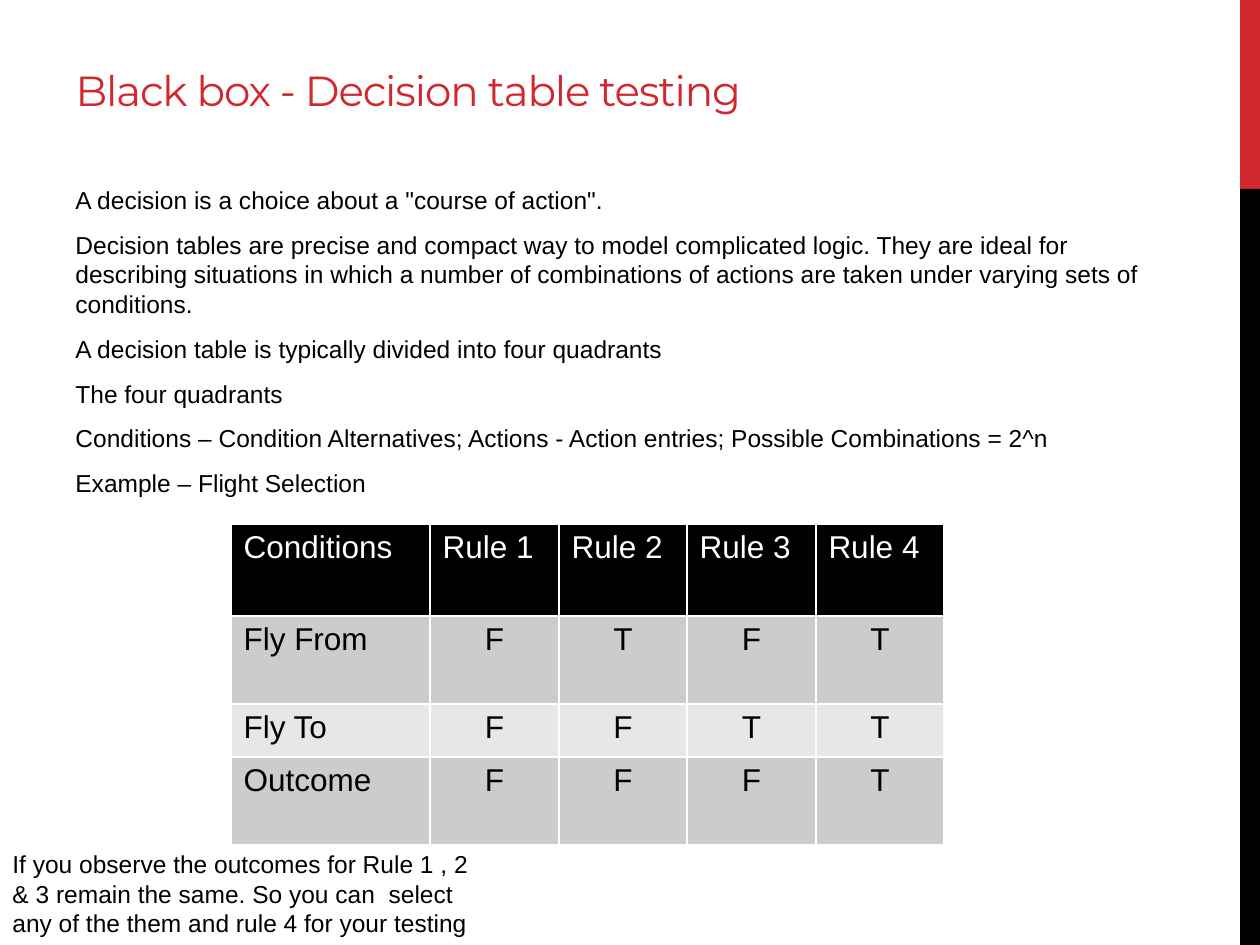
"""Build the decision table testing slide."""
from dataclasses import dataclass

from pptx import Presentation
from pptx.dml.color import RGBColor
from pptx.enum.shapes import MSO_SHAPE
from pptx.enum.text import MSO_ANCHOR, MSO_AUTO_SIZE, PP_ALIGN
from pptx.util import Emu, Pt

RECT = MSO_SHAPE.RECTANGLE
BOTTOM = MSO_ANCHOR.BOTTOM
NO_FIT = MSO_AUTO_SIZE.NONE
LEFT, CENTER = PP_ALIGN.LEFT, PP_ALIGN.CENTER
PX_PER_INCH = 126
RED, BLACK, WHITE = "D1282E", "000000", "FFFFFF"
BANDS = ("CCCCCC", "E7E7E7")


@dataclass(frozen=True)
class Box:
    """Place and size in px."""
    x: int
    y: int
    w: int
    h: int


@dataclass(frozen=True)
class Bar:
    """Coloured block on the right edge."""
    box: Box
    color: str


BARS = (Bar(Box(1240, 0, 20, 189), RED), Bar(Box(1240, 189, 20, 756), BLACK))
TITLE_BOX = Box(63, 42, 764, 79)
BODY_BOX = Box(63, 179, 1113, 310)
TABLE_BOX = Box(231, 524, 713, 321)
NOTE_BOX = Box(0, 843, 499, 102)
COL_WIDTHS = (199, 129, 128, 129, 128)
ROW_HEIGHTS = (92, 88, 53, 88)

BODY = (
    'A decision is a choice about a "course of action".',
    "Decision tables are precise and compact way to model complicated logic. "
    "They are ideal for describing situations in which a number of combinations "
    "of actions are taken under varying sets of conditions.",
    "A decision table is typically divided into four quadrants",
    "The four quadrants",
    "Conditions – Condition Alternatives; Actions - Action entries; "
    "Possible Combinations = 2^n",
    "Example – Flight Selection",
)
NOTE = ("If you observe the outcomes for Rule 1 , 2 & 3 remain the same. "
        "So you can  select any of the them and rule 4 for your testing")
ROWS = (
    ("Conditions", "Rule 1", "Rule 2", "Rule 3", "Rule 4"),
    ("Fly From", "F", "T", "F", "T"),
    ("Fly To", "F", "F", "T", "T"),
    ("Outcome", "F", "F", "F", "T"),
)
BODY_FORMAT = {"space_before": Pt(2.8), "space_after": Pt(6)}


def px(value: int) -> Emu:
    """Turn px into EMU."""
    return Emu(round(value * 914400 / PX_PER_INCH))


def place(box: Box) -> tuple:
    """Return left, top, width and height in EMU."""
    return px(box.x), px(box.y), px(box.w), px(box.h)


def rgb(color: str) -> RGBColor:
    """Turn a hex string into a colour."""
    return RGBColor.from_string(color)


def apply(target, values: dict) -> None:
    """Set attributes from a dict of format values."""
    for name, value in values.items():
        setattr(target, name, value)


def write(p, text: str, size: int, color: str = BLACK, font: str = "Arial"):
    """Add one formatted run to a paragraph."""
    r = p.add_run()
    r.text = text
    apply(r.font, {"name": font, "size": Pt(size), "bold": False})
    r.font.color.rgb = rgb(color)
    return r


def draw_bar(s, bar: Bar) -> None:
    """Draw a plain filled block."""
    sp = s.shapes.add_shape(RECT, *place(bar.box))
    sp.shadow.inherit = False
    sp.fill.solid()
    sp.fill.fore_color.rgb = rgb(bar.color)
    sp.line.fill.background()


def draw_title(s, text: str) -> None:
    """Place and fill the title placeholder."""
    sp = s.shapes.title
    apply(sp, dict(zip(("left", "top", "width", "height"), place(TITLE_BOX))))
    tf = sp.text_frame
    apply(tf, {"auto_size": NO_FIT, "vertical_anchor": BOTTOM, "word_wrap": True})
    p = tf.paragraphs[0]
    p.alignment = LEFT
    r = write(p, text, 24, RED, "Montserrat")
    r.font._element.set("spc", "-60")


def draw_text(s, box: Box, lines: tuple, values: dict) -> None:
    """Draw a wrapped text box with one paragraph per line."""
    tf = s.shapes.add_textbox(*place(box)).text_frame
    tf.word_wrap = True
    for i, line in enumerate(lines):
        p = tf.add_paragraph() if i else tf.paragraphs[0]
        apply(p, values)
        write(p, line, 14)


def draw_table(s) -> None:
    """Draw the table of conditions and rules."""
    frame = s.shapes.add_table(len(ROWS), len(COL_WIDTHS), *place(TABLE_BOX))
    table = frame.table
    for col, width in zip(table.columns, COL_WIDTHS):
        col.width = px(width)
    for row, height in zip(table.rows, ROW_HEIGHTS):
        row.height = px(height)
    for i, values in enumerate(ROWS):
        for j, text in enumerate(values):
            cell = table.cell(i, j)
            cell.fill.solid()
            cell.fill.fore_color.rgb = rgb(BANDS[(i - 1) % 2] if i else BLACK)
            p = cell.text_frame.paragraphs[0]
            p.alignment = CENTER if i and j else LEFT
            write(p, text, 18, BLACK if i else WHITE)


def main() -> None:
    """Build and save the slide."""
    prs = Presentation()
    apply(prs, {"slide_width": px(1260), "slide_height": px(945)})
    s = prs.slides.add_slide(prs.slide_layouts[5])
    for bar in BARS:
        draw_bar(s, bar)
    draw_title(s, "Black box - Decision table testing")
    draw_text(s, BODY_BOX, BODY, BODY_FORMAT)
    draw_table(s)
    draw_text(s, NOTE_BOX, (NOTE,), {})
    prs.save("out.pptx")


if __name__ == "__main__":
    main()
